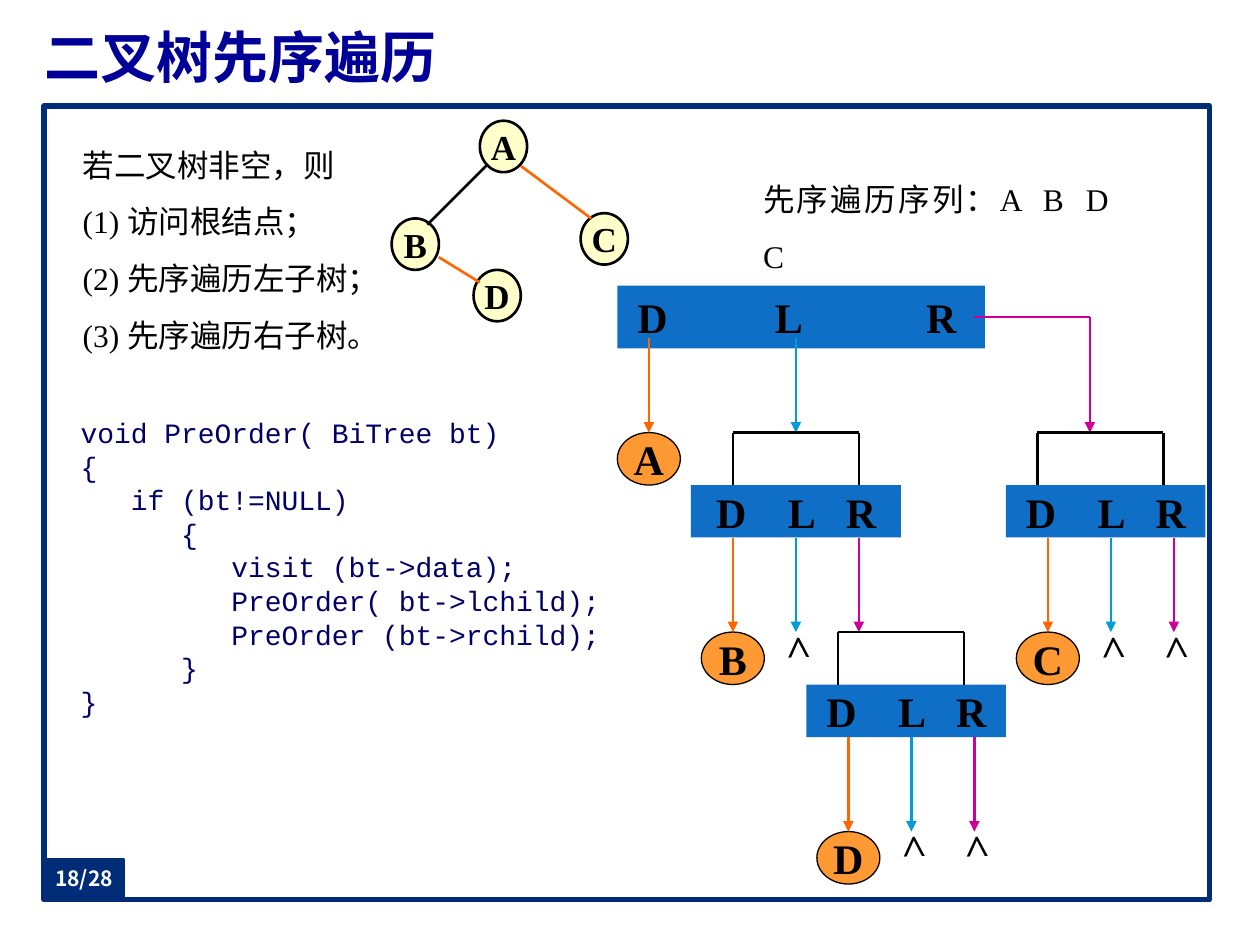
"""Build the slide on preorder traversal of a binary tree, on a grid of 120 columns by 90 rows."""
import pptx
import pptx.util
import pptx.dml.color
import pptx.enum.shapes
import pptx.enum.text
import pptx.oxml
import pptx.oxml.ns

colour = pptx.dml.color.RGBColor.from_string
Kind = pptx.enum.shapes.MSO_SHAPE
Align = pptx.enum.text.PP_ALIGN
Anchor = pptx.enum.text.MSO_ANCHOR

deck = pptx.Presentation()
deck.slide_width = pptx.util.Inches(10)
deck.slide_height = pptx.util.Inches(7.5)
page = deck.slides.add_slide(deck.slide_layouts[6])
UNIT = deck.slide_width / 120

BLACK, ORANGE, BLUE, PINK = "000000", "FF6600", "009DD9", "CC0099"
SERIF = "Times New Roman"
LABEL = {"name": SERIF, "size": 24, "bold": True, "color": BLACK}
BODY = {"name": SERIF, "size": 18, "color": BLACK}
CENTRE = {"alignment": Align.CENTER}
SPACED = {"alignment": Align.JUSTIFY, "line_spacing": 1.5}
NO_MARGIN = dict.fromkeys(("margin_left", "margin_top", "margin_right", "margin_bottom"), 0)
MIDDLE = {"vertical_anchor": Anchor.MIDDLE, "word_wrap": False}
FITTED = {**NO_MARGIN, "vertical_anchor": Anchor.MIDDLE, "word_wrap": True}


def add_box(kind, place, lines=(), font=LABEL, layout=CENTRE, frame=MIDDLE, fill=None, outline=None, weight=1.5):
    place = [round(value * UNIT) for value in place]
    if kind is None:
        box = page.shapes.add_textbox(*place)
    else:
        box = page.shapes.add_shape(kind, *place)
        box.shadow.inherit = False
        box.fill.solid()
        box.fill.fore_color.rgb = colour(fill)
        if outline:
            box.line.color.rgb = colour(outline)
            box.line.width = pptx.util.Pt(weight)
        else:
            box.line.fill.background()
    for name, value in frame.items():
        setattr(box.text_frame, name, value)
    for index, line in enumerate(lines):
        para = box.text_frame.add_paragraph() if index else box.text_frame.paragraphs[0]
        for name, value in layout.items():
            setattr(para, name, value)
        span = para.add_run()
        span.text = line
        for name, value in font.items():
            if name == "color":
                span.font.color.rgb = colour(value)
            else:
                setattr(span.font, name, pptx.util.Pt(value) if name == "size" else value)
    return box


def add_line(start, end, ink=BLACK, arrow=False):
    points = [round(value * UNIT) for value in (*start, *end)]
    line = page.shapes.add_connector(pptx.enum.shapes.MSO_CONNECTOR.STRAIGHT, *points)
    line.line.color.rgb = colour(ink)
    line.line.width = pptx.util.Pt(1.5)
    if arrow:
        head = pptx.oxml.ns.qn("a:tailEnd")
        line.line._get_or_add_ln().append(line._element.makeelement(head, {"type": "triangle"}))
    line._element.spPr.append(line._element.makeelement(pptx.oxml.ns.qn("a:effectLst"), {}))
    return line


add_box(Kind.RECTANGLE, (4.2, 10.1, 111, 75.6), fill="FFFFFF", outline="012D78", weight=3)
add_box(None, (4.2, 1.6, 111, 7.4), ["二叉树先序遍历"],
        {"name": SERIF, "size": 32, "bold": True, "color": "000099"}, {"alignment": Align.JUSTIFY}, FITTED)

for letter, column, row in (("A", 45.7, 11.5), ("D", 45.1, 25.7), ("B", 37.3, 20.8), ("C", 55.3, 20.3)):
    add_box(Kind.OVAL, (column, row, 4.5, 4.9), [letter], {**LABEL, "size": 20}, fill="FFFFCC", outline=BLACK)
add_line((46.3, 15.8), (40.7, 21.4))
add_line((49.6, 15.8), (56.3, 20.8), ORANGE)
add_line((41.8, 24.5), (45.7, 26.9), ORANGE)

LEFT, TOP = 58.8, 27.2
ROOT_COLUMNS, GAP = (3, 17, 45), 9
records = [
    (0, 0, 35, 6, 1.9, (15, 29.4), ROOT_COLUMNS, "A"),
    (7, 19, 20, 5, 2.4, (9.24, 14.8), (11, 17, 23), "B"),
    (18, 38, 19, 5, 1.9, (9.24, 14.8), (22, 28, 34), "D"),
    (37, 19, 19, 5, 1.9, (9.24, 14.8), (41, 47, 53), "C"),
]
parents = {"B": 11, "D": 21, "C": 40}
for column, row, width, height, inset, stops, columns, letter in records:
    is_root = letter == "A"
    left, top = LEFT + column, TOP + row
    bar = add_box(Kind.RECTANGLE, (left, top, width, height), ["D\tL\tR"], layout={"alignment": Align.LEFT},
                  frame={**FITTED, "margin_left": round(inset * UNIT)}, fill="0F6FC6")
    tabs = "".join(f'<a:tab pos="{round(stop * UNIT - (inset * UNIT if is_root else 0))}" algn="l"/>'
                   for stop in stops) if is_root else "".join(
        f'<a:tab pos="{round((stop - 2.4) * UNIT)}" algn="l"/>' for stop in stops)
    tabs = tabs if is_root else "".join(f'<a:tab pos="{round(stop * UNIT)}" algn="l"/>' for stop in (6.84, 12.36))
    namespace = pptx.oxml.ns.nsdecls("a")
    bar.text_frame.paragraphs[0]._p.get_or_add_pPr().append(
        pptx.oxml.parse_xml(f"<a:tabLst {namespace}>{tabs}</a:tabLst>"))

    if not is_root:
        start, end = LEFT + parents[letter], LEFT + parents[letter] + 12
        add_line((start, top - 5), (end, top - 5))
        for side in (start, end):
            add_line((side, top - 5), (side, top))

    first = TOP + (5 if is_root else row + height)
    last = first + GAP
    node = add_box(Kind.OVAL, (LEFT + columns[0] - 3, last, 6, 5), [letter],
                   fill="FF9933", outline=BLACK, weight=0.75)
    for order, (spot, ink) in enumerate(zip(columns, (ORANGE, BLUE, PINK))):
        begin = first
        if is_root and order == 2:
            begin = TOP + 3
            add_line((LEFT + 34, begin), (LEFT + spot, begin), ink)
        arrow = add_line((LEFT + spot, begin), (LEFT + spot, last), ink, True)
        if order == 0:
            arrow.end_connect(node, 0)
        if not is_root and spot == column + width / 2:
            arrow.begin_connect(bar, 2)
        if order and not is_root and (letter, order) != ("B", 2):
            empty = add_box(None, (LEFT + spot - 2.5, last - 1.5, 5, 6), [">"], frame={"word_wrap": True})
            empty.rotation = 268.3

sequence = add_box(None, (71.5, 14.8, 36.4, 6), ["先序遍历序列：A  B  D  C"], BODY, SPACED, {"word_wrap": True})
sequence.text_frame.paragraphs[0].runs[0].font._element.set("spc", "100")
add_box(None, (6.7, 11.5, 32.6, 22.3),
        ["若二叉树非空，则", "(1) 访问根结点；", "(2) 先序遍历左子树；", "(3) 先序遍历右子树。"],
        BODY, SPACED, {"word_wrap": True})
code = """void PreOrder( BiTree bt)
{
   if (bt!=NULL)
      {
         visit (bt->data);
         PreOrder( bt->lchild);
         PreOrder (bt->rchild);
      }
}"""
add_box(None, (6.5, 39, 52.3, 30.2), code.split("\n"),
        {"name": "Courier New", "size": 16, "color": "000066"}, {}, {"word_wrap": True})
add_box(Kind.RECTANGLE, (4.2, 81.8, 7.6, 3.7), ["18/28"],
        {"name": "Noto Sans CJK SC", "size": 12, "bold": True, "color": "FFFFFF"},
        frame=FITTED, fill="012D78", outline="032C75", weight=0.75)

deck.save("out.pptx")
